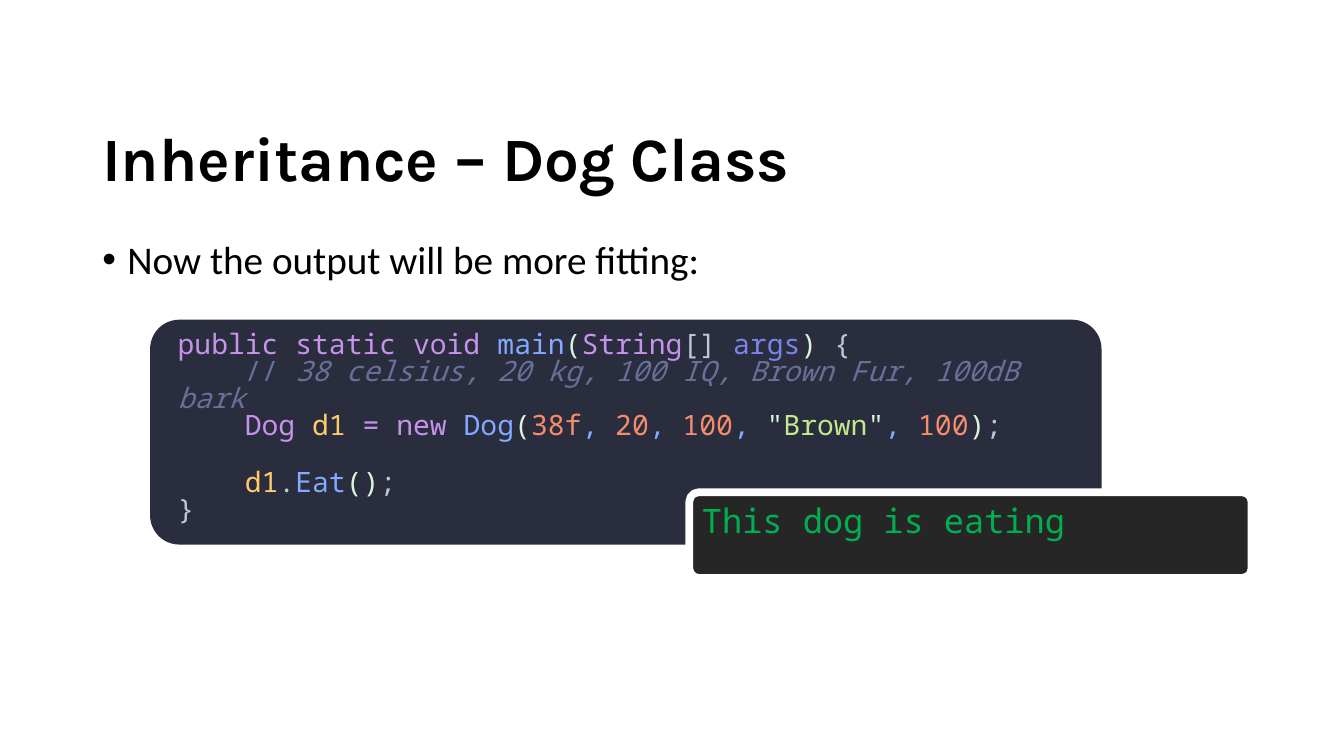
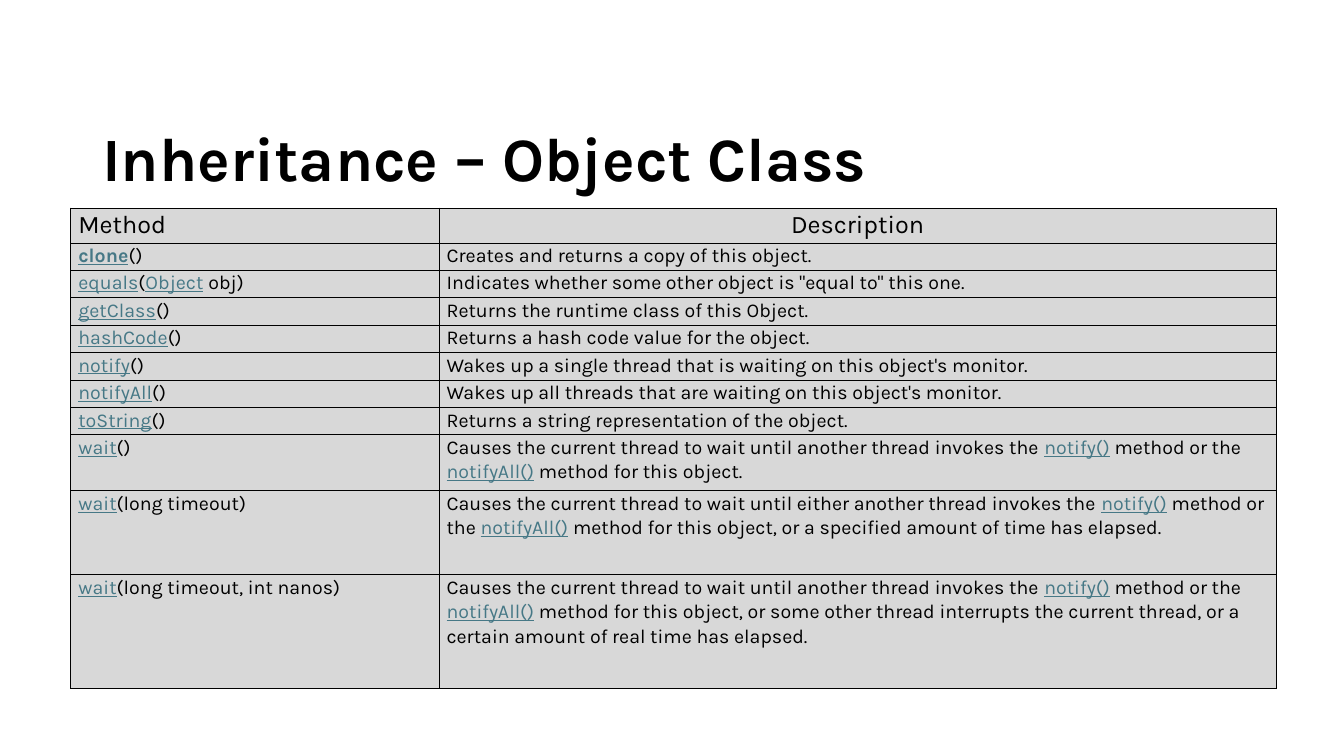
import pptx
import pptx.dml.color
import pptx.enum.shapes
import pptx.enum.text
import pptx.oxml
import pptx.util
from pptx.oxml.ns import nsdecls

Pt = pptx.util.Pt
ALIGN = pptx.enum.text.PP_ALIGN
ANCHOR = pptx.enum.text.MSO_ANCHOR

HEADING_FONT = "Karla"
BODY_FONT = "Calibri"
CODE_FONT = "Noto Sans Mono"

BLACK = "000000"
WHITE = "FFFFFF"
LINK = "467886"
CELL_FILL = "D8D8D8"
EDITOR_FILL = "292D3E"
CONSOLE_FILL = "262626"
CONSOLE_TEXT = "00B050"
SYNTAX = {
    "keyword": "C792EA",
    "call": "82AAFF",
    "bracket": "D9F5DD",
    "plain": "BFC7D5",
    "argument": "7986E7",
    "slashes": "697098",
    "remark": "697098",
    "variable": "FFCB6B",
    "number": "F78C6C",
    "string": "C3E88D",
}

CODE_INDENT = 48
CODE_LINE = 21.6
CODE = [
    (0, 0, [("public static void ", "keyword"), ("main", "call"), ("(", "bracket"),
            ("String", "keyword"), ("[] ", "plain"), ("args", "argument"),
            (")", "bracket"), (" {", "plain")]),
    (CODE_INDENT, 0, [("//", "slashes"),
                      (" 38 celsius, 20 kg, 100 IQ, Brown Fur, 100dB bark", "remark")]),
    (CODE_INDENT, 0, [("Dog ", "keyword"), ("d1 ", "variable"), ("= new ", "keyword"),
                      ("Dog", "call"), ("(", "bracket"), ("38f", "number"), (", ", "call"),
                      ("20", "number"), (", ", "call"), ("100", "number"), (", ", "call"),
                      ('"', "bracket"), ("Brown", "string"), ('"', "bracket"),
                      (", ", "call"), ("100", "number"), (")", "bracket"), (";", "plain")]),
    (CODE_INDENT, CODE_LINE, [("d1", "variable"), (".", "plain"), ("Eat", "call"),
                              ("()", "bracket"), (";", "plain")]),
    (0, 0, [("}", "plain")]),
]

COLUMN_WIDTHS = [263, 598]
ROW_HEIGHTS = [25] + [19.6] * 7 + [40, 60, 81]
METHODS = [
    ("|clone|()", "Creates and returns a copy of this object."),
    ("|equals|(|Object| obj)", 'Indicates whether some other object is "equal to" this one.'),
    ("|getClass|()", "Returns the runtime class of this Object."),
    ("|hashCode|()", "Returns a hash code value for the object."),
    ("|notify|()", "Wakes up a single thread that is waiting on this object's monitor."),
    ("|notifyAll|()", "Wakes up all threads that are waiting on this object's monitor."),
    ("|toString|()", "Returns a string representation of the object."),
    ("|wait|()",
     "Causes the current thread to wait until another thread invokes the |notify()| method "
     "or the |notifyAll()| method for this object."),
    ("|wait|(long timeout)",
     "Causes the current thread to wait until either another thread invokes the |notify()| "
     "method or the |notifyAll()| method for this object, or a specified amount of time has "
     "elapsed."),
    ("|wait|(long timeout, int nanos)",
     "Causes the current thread to wait until another thread invokes the |notify()| method "
     "or the |notifyAll()| method for this object, or some other thread interrupts the "
     "current thread, or a certain amount of real time has elapsed."),
]


def rgb(value):
    """Turn a hex string into a colour."""
    return pptx.dml.color.RGBColor.from_string(value)


def add_span(para, text, font=HEADING_FONT, size=14, color=BLACK,
             bold=False, italic=False, underline=False):
    """Append formatted text to a paragraph."""
    span = para.add_run()
    span.text = text
    span.font.name = font
    span.font.size = Pt(size)
    span.font.color.rgb = rgb(color)
    span.font.bold = bold
    span.font.italic = italic
    span.font.underline = underline


def set_indent(para, left, first):
    """Set the left margin and first-line indent of a paragraph."""
    properties = para._p.get_or_add_pPr()
    properties.set("marL", str(Pt(left)))
    properties.set("indent", str(Pt(first)))
    return properties


def add_text_box(page, left, top, width, height, anchor=ANCHOR.TOP):
    """Add a wrapping text box and return its first paragraph."""
    box = page.shapes.add_textbox(Pt(left), Pt(top), Pt(width), Pt(height))
    box.text_frame.word_wrap = True
    box.text_frame.vertical_anchor = anchor
    para = box.text_frame.paragraphs[0]
    para.line_spacing = 0.9
    return para


def add_page(deck, title):
    """Add a blank page with the shared title."""
    page = deck.slides.add_slide(deck.slide_layouts[6])
    para = add_text_box(page, 66, 63, 828, 104.4, ANCHOR.MIDDLE)
    add_span(para, title, size=44, bold=True)
    return page


def add_bullet(page, text):
    """Add the bulleted body text."""
    para = add_text_box(page, 66, 168, 828, 262)
    properties = set_indent(para, 18, -18)
    for markup in ('<a:buFont %s typeface="Arial"/>', '<a:buChar %s char="•"/>'):
        properties.append(pptx.oxml.parse_xml(markup % nsdecls("a")))
    add_span(para, text, font=BODY_FONT, size=28)


def add_panel(page, left, top, width, height, fill, corner):
    """Add a rounded panel for monospaced text and return it."""
    panel = page.shapes.add_shape(pptx.enum.shapes.MSO_SHAPE.ROUNDED_RECTANGLE,
                                  Pt(left), Pt(top), Pt(width), Pt(height))
    panel.adjustments[0] = corner
    panel.shadow.inherit = False
    panel.fill.solid()
    panel.fill.fore_color.rgb = rgb(fill)
    panel.line.fill.background()
    panel.text_frame.word_wrap = True
    panel.text_frame.vertical_anchor = ANCHOR.TOP
    panel.text_frame.paragraphs[0].alignment = ALIGN.LEFT
    return panel


def add_code(page):
    """Add the editor panel with highlighted code."""
    frame = add_panel(page, 107.2, 228.4, 679.6, 160.6, EDITOR_FILL, 0.13).text_frame
    for number, (indent, gap, tokens) in enumerate(CODE):
        para = frame.add_paragraph() if number else frame.paragraphs[0]
        para.alignment = ALIGN.LEFT
        para.line_spacing = 0.8
        para.space_before = Pt(gap)
        set_indent(para, 6.5, indent)
        for text, kind in tokens:
            add_span(para, text, font=CODE_FONT, size=20, color=SYNTAX[kind],
                     italic=kind == "remark")


def add_console(page, text):
    """Add the console panel with program output."""
    panel = add_panel(page, 492.4, 351.6, 401.6, 61.2, CONSOLE_FILL, 0.11)
    panel.line.color.rgb = rgb(WHITE)
    panel.line.width = Pt(5.5)
    add_span(panel.text_frame.paragraphs[0], text, font=CODE_FONT, size=24,
             color=CONSOLE_TEXT)


def fill_cell(cell, text, size=14, align=ALIGN.LEFT, bold_links=False):
    """Style a cell and write its text, with links between bars."""
    properties = cell._tc.get_or_add_tcPr()
    for side in ("lnL", "lnR", "lnT", "lnB"):
        properties.append(pptx.oxml.parse_xml(
            f'<a:{side} {nsdecls("a")} w="{Pt(0.75)}"><a:solidFill>'
            f'<a:srgbClr val="{BLACK}"/></a:solidFill></a:{side}>'))
    cell.fill.solid()
    cell.fill.fore_color.rgb = rgb(CELL_FILL)
    cell.margin_left = cell.margin_right = Pt(5.4)
    cell.margin_top = cell.margin_bottom = 0
    para = cell.text_frame.paragraphs[0]
    para.alignment = align
    para.line_spacing = 1.07
    for number, part in enumerate(text.split("|")):
        is_link = number % 2 == 1
        if part:
            add_span(para, part, size=size, color=LINK if is_link else BLACK,
                     bold=is_link and bold_links, underline=is_link)


def add_method_table(page):
    """Add the table of methods and descriptions."""
    table = page.shapes.add_table(len(ROW_HEIGHTS), len(COLUMN_WIDTHS), Pt(50.6), Pt(148.6),
                                  Pt(sum(COLUMN_WIDTHS)), Pt(sum(ROW_HEIGHTS))).table
    table.first_row = table.horz_banding = False
    for column, width in zip(table.columns, COLUMN_WIDTHS):
        column.width = Pt(width)
    for row, height in zip(table.rows, ROW_HEIGHTS):
        row.height = Pt(height)
    fill_cell(table.cell(0, 0), "Method", size=18)
    fill_cell(table.cell(0, 1), "Description", size=18, align=ALIGN.CENTER)
    for number, (method, description) in enumerate(METHODS, 1):
        fill_cell(table.cell(number, 0), method, bold_links=number == 1)
        fill_cell(table.cell(number, 1), description)


def main():
    """Build and save the deck."""
    deck = pptx.Presentation()
    deck.slide_width, deck.slide_height = Pt(960), Pt(540)

    page = add_page(deck, "Inheritance – Dog Class")
    add_bullet(page, "Now the output will be more fitting:")
    add_code(page)
    add_console(page, "This dog is eating")

    page = add_page(deck, "Inheritance – Object Class")
    add_method_table(page)

    deck.save("out.pptx")


if __name__ == "__main__":
    main()
